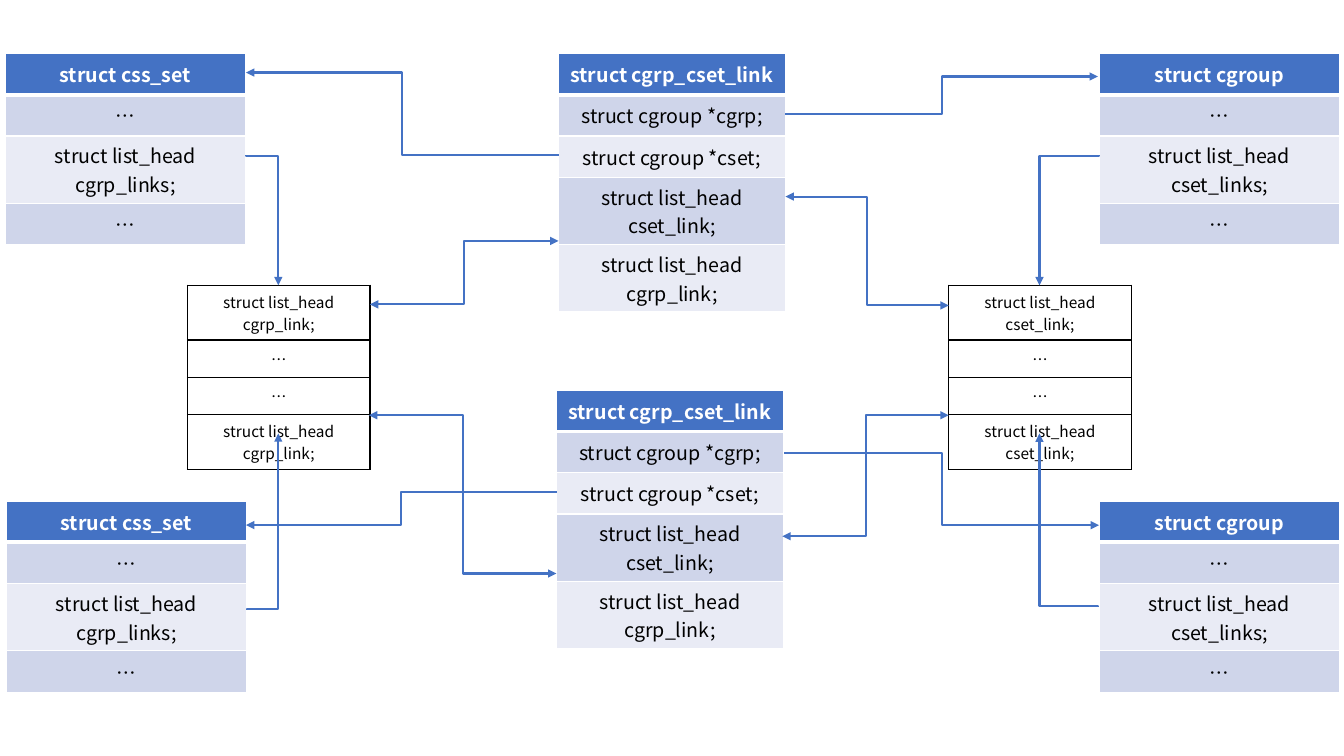
from lxml.etree import SubElement
from pptx import Presentation
from pptx.dml.color import RGBColor
from pptx.enum.shapes import MSO_CONNECTOR
from pptx.enum.text import MSO_ANCHOR, PP_ALIGN
from pptx.oxml.ns import qn
from pptx.util import Inches, Pt

COLORS = {"blue": "4472C4", "band": "CFD5EA", "pale": "E9EBF5",
          "white": "FFFFFF", "black": "000000"}
FONT = "Noto Sans CJK SC"

CSS_SET = ["struct css_set", "…", "struct list_head cgrp_links;", "…"]
CGROUP = ["struct cgroup", "…", "struct list_head cset_links;", "…"]
LINK = ["struct cgrp_cset_link", "struct cgroup *cgrp;", "struct cgroup *cset;",
        "struct list_head cset_link;", "struct list_head cgrp_link;"]

# Left, top, width, rows
STRUCTS = [
    (0.05, 0.53, 2.39, CSS_SET), (5.54, 0.53, 2.25, LINK), (10.9, 0.53, 2.39, CGROUP),
    (0.06, 4.97, 2.39, CSS_SET), (5.52, 3.87, 2.25, LINK), (10.9, 4.97, 2.39, CGROUP),
]
# Left, list member
LISTS = [(1.86, "struct list_head cgrp_link;"), (9.41, "struct list_head cset_link;")]

# From, to
HEAD_ARROWS = [
    ((2.44, 1.54), (2.76, 2.83)), ((10.9, 1.54), (10.31, 2.83)),
    ((2.45, 6.05), (2.76, 4.3)), ((10.89, 6.02), (10.31, 4.3)),
]
MEMBER_ARROWS = [
    ((7.79, 1.95), (9.41, 3.03)), ((5.54, 2.39), (3.67, 3.02)),
    ((5.52, 5.69), (3.66, 4.12)), ((9.41, 4.12), (7.76, 5.32)),
]
POINTER_ARROWS = [
    ((5.54, 1.54), (2.44, 0.72)), ((7.79, 1.13), (10.89, 0.76)),
    ((5.52, 4.88), (2.44, 5.21)), ((7.78, 4.49), (10.9, 5.21)),
]


def rgb(name):
    """Return the named colour."""
    return RGBColor.from_string(COLORS[name])


def write(cell, text, size=14, color="black", bold=False):
    """Put centred text in a cell."""
    cell.vertical_anchor = MSO_ANCHOR.MIDDLE
    paragraph = cell.text_frame.paragraphs[0]
    paragraph.alignment = PP_ALIGN.CENTER
    run = paragraph.add_run()
    run.text = text
    font = run.font
    font.name, font.size, font.bold = FONT, Pt(size), bold
    font.color.rgb = rgb(color)
    SubElement(font._element, qn("a:ea")).set("typeface", FONT)


def set_borders(cell, color, bottom=1):
    """Draw 1 pt borders, with a bottom one of its own width."""
    properties = cell._tc.get_or_add_tcPr()
    for side, width in (("L", 1), ("R", 1), ("T", 1), ("B", bottom)):
        line = SubElement(properties, qn(f"a:ln{side}"), w=str(Pt(width)))
        fill = SubElement(line, qn("a:solidFill"))
        SubElement(fill, qn("a:srgbClr"), val=COLORS[color])


def add_column(slide, left, top, width, row_height, count):
    """Add a one-column table and return its cells."""
    table = slide.shapes.add_table(count, 1, Inches(left), Inches(top), Inches(width),
                                   Inches(row_height * count)).table
    table.first_row = table.horz_banding = False
    for row in table.rows:
        row.height = Inches(row_height)
    return [table.cell(index, 0) for index in range(count)]


def add_struct(slide, left, top, width, members):
    """Add a struct with a blue header and banded members."""
    cells = add_column(slide, left, top, width, 0.41, len(members))
    for index, (cell, member) in enumerate(zip(cells, members)):
        header = index == 0
        set_borders(cell, "white", bottom=3 if header else 1)
        cell.fill.solid()
        cell.fill.fore_color.rgb = rgb("blue" if header else "band" if index % 2 else "pale")
        write(cell, member, color="white" if header else "black", bold=header)


def add_list(slide, left, member):
    """Add a linked list as a plain black grid."""
    cells = add_column(slide, left, 2.83, 1.81, 0.37, 4)
    for cell, text in zip(cells, [member, "…", "…", member]):
        set_borders(cell, "black")
        cell.fill.background()
        write(cell, text, size=11)


def add_arrow(slide, start, end, both_ends=False):
    """Add an elbow arrow that bends halfway across."""
    arrow = slide.shapes.add_connector(MSO_CONNECTOR.ELBOW,
                                       *(Inches(value) for value in (*start, *end)))
    arrow.line.color.rgb = rgb("blue")
    arrow.line.width = Pt(1.5)
    line = arrow.line._get_or_add_ln()
    for tip in ("headEnd", "tailEnd") if both_ends else ("tailEnd",):
        SubElement(line, qn(f"a:{tip}"), type="triangle")
    SubElement(arrow._element.spPr, qn("a:effectLst"))
    return arrow


def add_corner_arrow(slide, start, end):
    """Add an elbow arrow that runs sideways, then vertically to its end."""
    (x1, y1), (x2, y2) = start, end
    center_x, center_y = (x1 + x2) / 2, (y1 + y2) / 2
    half_x, half_y = (x2 - x1) / 2, (y2 - y1) / 2
    # Endpoints as they lie before the quarter turn
    arrow = add_arrow(slide, (center_x - half_y, center_y + half_x),
                      (center_x + half_y, center_y - half_x))
    properties = arrow._element.spPr
    properties.find(qn("a:xfrm")).set("rot", "5400000")
    adjustments = properties.find(qn("a:prstGeom")).find(qn("a:avLst"))
    SubElement(adjustments, qn("a:gd"), name="adj1", fmla="val 500")


def main():
    """Build the slide."""
    deck = Presentation()
    deck.slide_width, deck.slide_height = Inches(13.33), Inches(7.5)
    slide = deck.slides.add_slide(deck.slide_layouts[6])
    for struct in STRUCTS:
        add_struct(slide, *struct)
    for linked_list in LISTS:
        add_list(slide, *linked_list)
    for start, end in HEAD_ARROWS:
        add_corner_arrow(slide, start, end)
    for start, end in MEMBER_ARROWS:
        add_arrow(slide, start, end, both_ends=True)
    for start, end in POINTER_ARROWS:
        add_arrow(slide, start, end)
    deck.save("out.pptx")


main()
